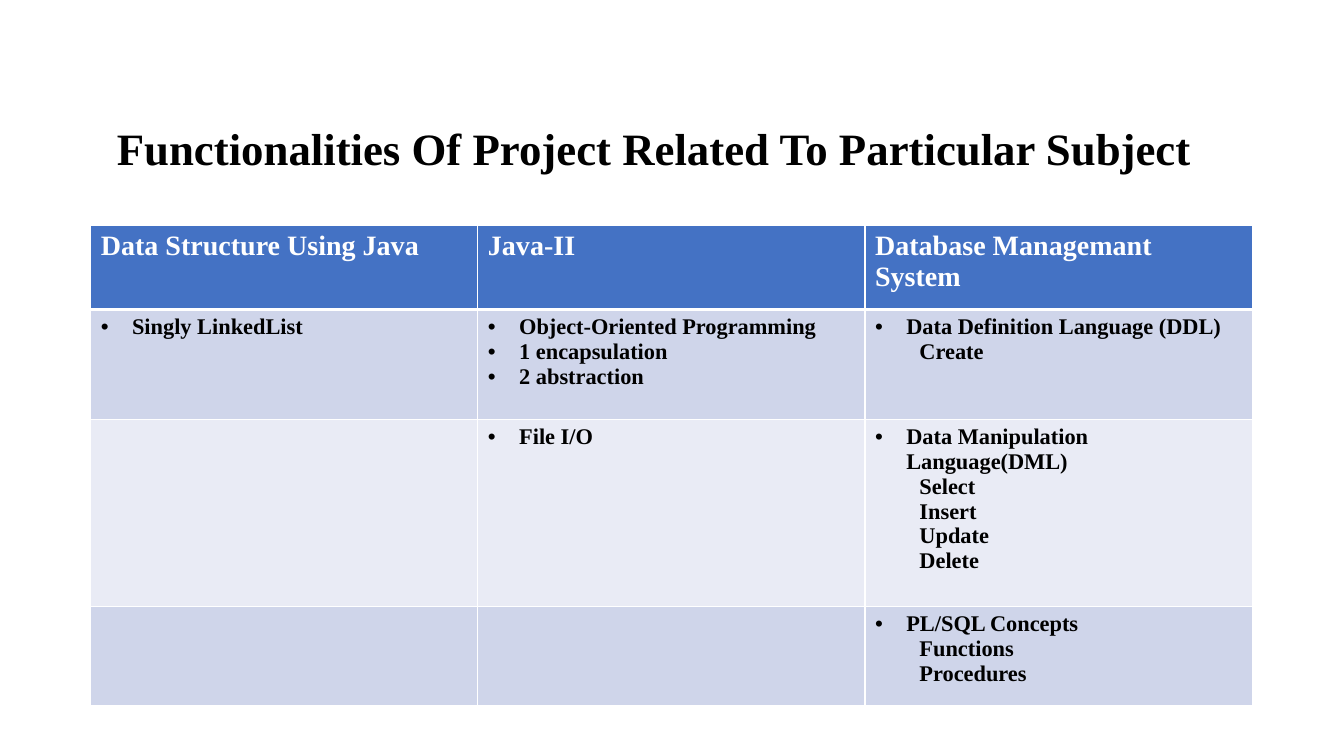
from dataclasses import dataclass

from lxml.etree import SubElement
from pptx import Presentation
from pptx.dml.color import RGBColor as RGB
from pptx.enum.text import MSO_ANCHOR as Anchor
from pptx.oxml import parse_xml
from pptx.oxml.ns import nsdecls, qn
from pptx.util import Inches, Pt


@dataclass(frozen=True)
class Theme:
    font: str = "Times New Roman"
    ink: str = "000000"
    white: str = "FFFFFF"
    header: str = "4472C4"
    bands: tuple = ("CFD5EA", "E9EBF5")
    title_size: int = 32
    header_size: int = 20
    body_size: int = 16
    rule: int = 1
    header_rule: int = 3


theme = Theme()


def style_text(paragraph, size, color):
    for run in paragraph.runs:
        run.font.name = theme.font
        run.font.size = Pt(size)
        run.font.bold = True
        run.font.color.rgb = RGB.from_string(color)


def add_borders(cell, top, bottom):
    properties = cell._tc.get_or_add_tcPr()
    widths = {"lnL": theme.rule, "lnR": theme.rule, "lnT": top, "lnB": bottom}
    for position, (side, width) in enumerate(widths.items()):
        properties.insert(position, parse_xml(
            f'<a:{side} {nsdecls("a")} w="{Pt(width)}"><a:solidFill>'
            f'<a:srgbClr val="{theme.white}"/></a:solidFill></a:{side}>'))


prs = Presentation()
prs.slide_width, prs.slide_height = Inches(13.33), Inches(7.5)
slide = prs.slides.add_slide(prs.slide_layouts[6])

# Title
title = slide.shapes.add_textbox(Inches(1.06), Inches(0.96), Inches(11.08), Inches(1.07))
title_frame = title.text_frame
title_frame.word_wrap = True
title_frame.vertical_anchor = Anchor.MIDDLE
title_frame.text = "Functionalities Of Project Related To Particular Subject"
title_frame.paragraphs[0].line_spacing = 0.9
style_text(title_frame.paragraphs[0], theme.title_size, theme.ink)

# Subjects, and per row the (topics, sub-items) of each subject
subjects = ["Data Structure Using Java", "Java-II", "Database Managemant System"]
functionalities = [
    [(["Singly LinkedList"], []),
     (["Object-Oriented Programming", "1 encapsulation", "2 abstraction"], []),
     (["Data Definition Language (DDL)"], ["Create"])],
    [([], []),
     (["File I/O"], []),
     (["Data Manipulation Language(DML)"], ["Select", "Insert", "Update", "Delete"])],
    [([], []),
     ([], []),
     (["PL/SQL Concepts"], ["Functions", "Procedures"])],
]
row_heights = [0.83, 1.09, 1.86, 0.98]
column_width = 3.84

# Table grid
table = slide.shapes.add_table(
    len(row_heights), len(subjects), Inches(0.9), Inches(2.24),
    Inches(column_width * len(subjects)), Inches(sum(row_heights))).table
for column in table.columns:
    column.width = Inches(column_width)
for row, height in zip(table.rows, row_heights):
    row.height = Inches(height)

# Header row
for column_index, subject in enumerate(subjects):
    heading = table.cell(0, column_index)
    heading.text_frame.text = subject
    style_text(heading.text_frame.paragraphs[0], theme.header_size, theme.white)
    heading.fill.solid()
    heading.fill.fore_color.rgb = RGB.from_string(theme.header)
    add_borders(heading, theme.rule, theme.header_rule)

# Banded rows with bulleted topics and indented sub-items
for row_index, subject_cells in enumerate(functionalities, start=1):
    band = theme.bands[(row_index - 1) % len(theme.bands)]
    for column_index, (topics, sub_items) in enumerate(subject_cells):
        entry = table.cell(row_index, column_index)
        entry.text_frame.text = "\n".join(topics + sub_items)
        for line_index, line in enumerate(entry.text_frame.paragraphs):
            style_text(line, theme.body_size, theme.ink)
            indent = line._p.get_or_add_pPr()
            if line_index < len(topics):
                indent.set("marL", str(Inches(0.31)))
                indent.set("indent", str(-Inches(0.31)))
                SubElement(indent, qn("a:buFont")).set("typeface", "Arial")
                SubElement(indent, qn("a:buChar")).set("char", "•")
            elif sub_items:
                indent.set("marL", str(Inches(0.44)))
        entry.fill.solid()
        entry.fill.fore_color.rgb = RGB.from_string(band)
        add_borders(entry, theme.header_rule if row_index == 1 else theme.rule, theme.rule)

prs.save("out.pptx")
